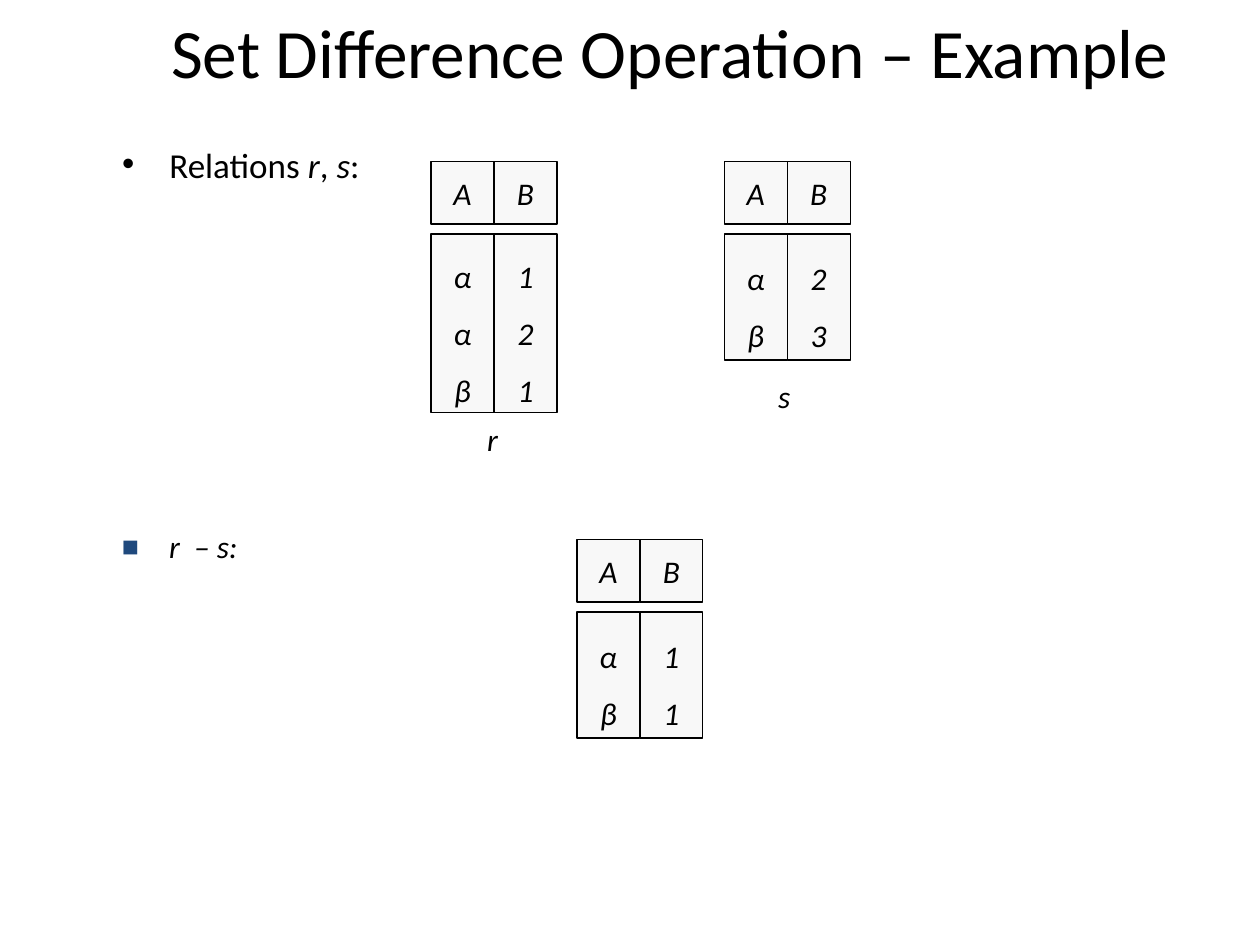
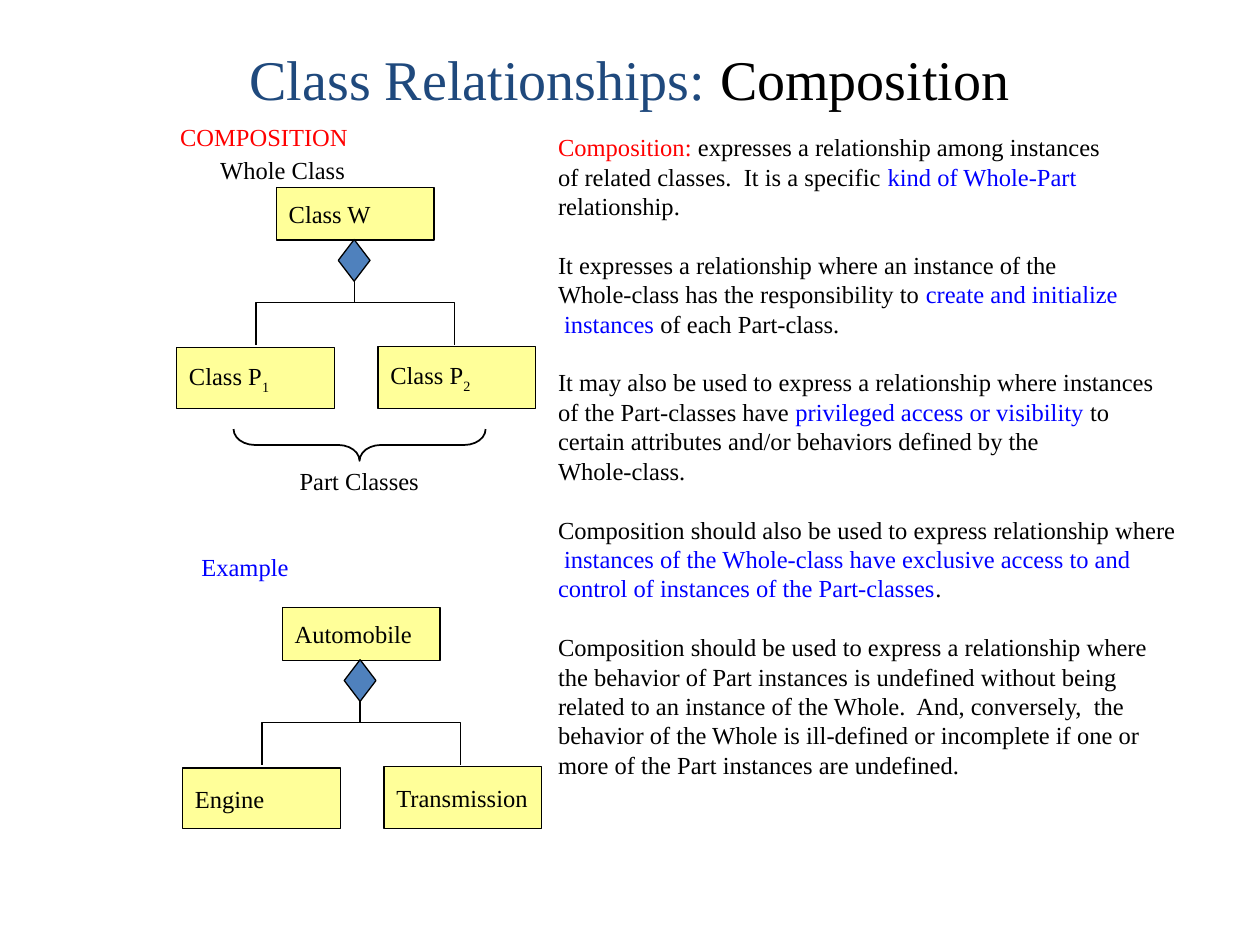
"""Build two slides: set difference of relations, and class composition."""
from dataclasses import dataclass

from lxml.etree import SubElement
from pptx import Presentation
from pptx.dml.color import RGBColor
from pptx.enum.shapes import MSO_CONNECTOR, MSO_SHAPE
from pptx.enum.text import MSO_ANCHOR, MSO_AUTO_SIZE, PP_ALIGN
from pptx.oxml.ns import qn
from pptx.util import Cm, Pt


@dataclass(frozen=True)
class Theme:
    sans: str = "Calibri"
    serif: str = "Times New Roman"
    black: str = "000000"
    navy: str = "1F497D"
    red: str = "FF0000"
    blue: str = "0000FF"
    steel: str = "4F81BD"
    yellow: str = "FFFF99"
    pale: str = "F8F8F8"
    head: float = 39.6
    title: float = 32
    lead: float = 20
    cell: float = 18
    note: float = 14
    thin: float = 0.75
    brace: float = 1


T = Theme()
RED, BLUE = {"color": T.red}, {"color": T.blue}
SLANT, SUB = {"italic": True}, {"base": -25000}

HEAD = "Set Difference Operation – Example"
LEAD = [("Relations ", {}), ("r", SLANT), (", ", {}), ("s", SLANT), (":", {})]
RESULT = "r  – s:"
TABLES = [
    (8.69, 3.25, {"A": "ααβ", "B": "121"}),
    (14.6, 3.25, {"A": "αβ", "B": "23"}),
    (11.63, 10.87, {"A": "αβ", "B": "11"}),
]
NAMES = [("r", (9.58, 8.33, 0.7, 1.02)), ("s", (15.39, 7.47, 0.84, 1.02))]

TITLE = [("Class Relationships: ", {"color": T.navy}), ("Composition", {})]
TREES = [
    (3.56, 3.78, "Class W",
     [("Class P", {}), ("1", SUB)], [("Class P", {}), ("2", SUB)]),
    (3.68, 12.25, "Automobile", "Engine", "Transmission"),
]
LABELS = [
    ("COMPOSITION", T.red, (3.38, 2.34, 4.14, 0.84)),
    ("Whole Class", T.black, (4.19, 3, 3.12, 0.84)),
    ("Part Classes", T.black, (5.79, 9.27, 3.1, 0.84)),
    ("Example", T.blue, (3.81, 11, 2.39, 0.84)),
]
NOTES = [
    [("Composition: ", RED),
     ("expresses a relationship among instances\n"
      "of related classes.  It is a specific ", {}),
     ("kind of Whole-Part", BLUE), ("\nrelationship.", {})],
    [("It expresses a relationship where an instance of the\n"
      "Whole-class has the responsibility to ", {}),
     ("create and initialize\n instances", BLUE),
     (" of each Part-class.", {})],
    [("It may also be used to express a relationship where instances\n"
      "of the Part-classes have ", {}),
     ("privileged access or visibility", BLUE),
     (" to\ncertain attributes and/or behaviors defined by the\n"
      "Whole-class.", {})],
    [("Composition should also be used to express relationship where\n", {}),
     (" instances of the Whole-class have exclusive access to and\n"
      "control of instances of the Part-classes", BLUE), (".", {})],
    [("Composition should be used to express a relationship where\n"
      "the behavior of Part instances is undefined without being\n"
      "related to an instance of the Whole.  And, conversely,  the\n"
      "behavior of the Whole is ill-defined or incomplete if one or\n"
      "more of the Part instances are undefined.", {})],
]


def rgb(code):
    return RGBColor.from_string(code)


def add_run(para, text, font, size, color, italic=False, base=None):
    for i, part in enumerate(text.split("\n")):
        if i:
            para.add_line_break()
        if not part:
            continue
        run = para.add_run()
        run.text = part
        run.font.name, run.font.size = font, Pt(size)
        run.font.color.rgb, run.font.italic = rgb(color), italic
        if base:
            run._r.get_or_add_rPr().set("baseline", str(base))


def add_mark(para, char, color, scale):
    props = para._p.get_or_add_pPr()
    props.set("marL", str(Cm(0.95)))
    props.set("indent", str(-Cm(0.95)))
    tint = SubElement(props, qn("a:buClr"))
    SubElement(tint, qn("a:srgbClr")).set("val", color)
    SubElement(props, qn("a:buSzPct")).set("val", str(scale * 1000))
    SubElement(props, qn("a:buFont")).set("typeface", "Arial")
    SubElement(props, qn("a:buChar")).set("char", char)


def write(shape, paras, align=PP_ALIGN.LEFT, anchor=MSO_ANCHOR.TOP,
          wrap=True, space=None, gap=0, mark=None, **style):
    frame = shape.text_frame
    frame.auto_size = MSO_AUTO_SIZE.NONE
    frame.word_wrap, frame.vertical_anchor = wrap, anchor
    base = {"font": T.sans, "size": T.cell, "color": T.black} | style
    for i, runs in enumerate(paras):
        para = frame.add_paragraph() if i else frame.paragraphs[0]
        if mark:
            add_mark(para, *mark)
        para.alignment = align
        para.space_before = Pt(gap if i else 0)
        if space:
            para.line_spacing = space
        for text, extra in [(runs, {})] if isinstance(runs, str) else runs:
            add_run(para, text, **(base | extra))


def place(shape, box):
    shape.left, shape.top, shape.width, shape.height = map(Cm, box)
    return shape


def add_text(slide, box, paras, **fmt):
    write(slide.shapes.add_textbox(*map(Cm, box)), paras, **fmt)


def style(shape, fill=None, width=T.thin):
    shape.shadow.inherit = False
    if fill:
        shape.fill.solid()
        shape.fill.fore_color.rgb = rgb(fill)
    else:
        shape.fill.background()
    shape.line.color.rgb, shape.line.width = rgb(T.black), Pt(width)
    return shape


def add_box(slide, kind, box, fill=None, width=T.thin):
    return style(slide.shapes.add_shape(kind, *map(Cm, box)), fill, width)


def add_grid(slide, x, y, cols):
    side, drop = 1.27, 1.47
    for i, (name, vals) in enumerate(cols.items()):
        tall = 3.6 if len(vals) == 3 else 2 * side
        for top, high, text, space in ((y, side, name, None),
                                       (y + drop, tall, vals, 1.5)):
            cell = add_box(slide, MSO_SHAPE.RECTANGLE,
                           (x + i * side, top, side, high), T.pale)
            write(cell, list(text), align=PP_ALIGN.CENTER, wrap=False,
                  anchor=MSO_ANCHOR.MIDDLE, space=space, italic=True)


def add_tree(slide, x, y, whole, left, right):
    wide, mid = 3.18, 3.58
    boxes = [(whole, 2.01, 0, 1.06), (left, 0, 3.23, 1.23),
             (right, 4.06, 3.2, 1.25)]
    for text, dx, dy, high in boxes:
        box = add_box(slide, MSO_SHAPE.RECTANGLE,
                      (x + dx, y + dy, wide, high), T.yellow)
        write(box, [text], anchor=MSO_ANCHOR.MIDDLE, wrap=False,
              font=T.serif, size=T.note)
    near, far, top, foot = x + 1.6, x + 5.61, y + 2.32, y + 3.17
    pen = slide.shapes.build_freeform(Cm(near), Cm(foot))
    pen.add_line_segments([(Cm(a), Cm(b)) for a, b in
                           ((near, top), (far, top), (far, foot))], close=False)
    style(pen.convert_to_shape())
    stem = slide.shapes.add_connector(
        MSO_CONNECTOR.STRAIGHT, *map(Cm, (x + mid, y + 1.86, x + mid, top)))
    stem.line.color.rgb, stem.line.width = rgb(T.black), Pt(T.thin)
    SubElement(stem._element.spPr, qn("a:effectLst"))
    add_box(slide, MSO_SHAPE.DIAMOND,
            (x + mid - 0.32, y + 1.05, 0.64, 0.84), T.steel)


def add_title(slide, box, runs, **fmt):
    write(place(slide.shapes.title, box), [runs], align=PP_ALIGN.CENTER,
          anchor=MSO_ANCHOR.MIDDLE, **fmt)


def build_sets(deck):
    slide = deck.slides.add_slide(deck.slide_layouts[1])
    add_title(slide, (2.29, 0.18, 22.43, 1.7), HEAD, size=T.head)
    write(place(slide.placeholders[1], (2.21, 3, 19.05, 0.94)), [LEAD],
          size=T.lead, space=0.7, mark=("•", T.black, 100))
    add_text(slide, (2.21, 10.59, 19.53, 0.91), [RESULT], italic=True,
             space=0.9, mark=("■", T.navy, 90))
    for table in TABLES:
        add_grid(slide, *table)
    for name, box in NAMES:
        add_text(slide, box, [name], align=PP_ALIGN.CENTER, wrap=False,
                 anchor=MSO_ANCHOR.MIDDLE, italic=True)


def build_class(deck):
    slide = deck.slides.add_slide(deck.slide_layouts[5])
    add_title(slide, (1.9, 0.84, 21.59, 1.47), TITLE,
              font=T.serif, size=T.title)
    for tree in TREES:
        add_tree(slide, *tree)
    brace = add_box(slide, MSO_SHAPE.LEFT_BRACE, (6.93, 6.43, 0.64, 5.08),
                    width=T.brace)
    brace.rotation = 270
    brace.adjustments[0], brace.adjustments[1] = 0.67, 0.5
    for text, color, box in LABELS:
        add_text(slide, box, [text], font=T.serif, size=T.note, color=color)
    add_text(slide, (11, 2.54, 13.67, 13.26), NOTES, font=T.serif,
             size=T.note, gap=16.8)


def main():
    deck = Presentation()
    deck.slide_width, deck.slide_height = Cm(25.4), Cm(19.05)
    build_sets(deck)
    build_class(deck)
    deck.save("out.pptx")


if __name__ == "__main__":
    main()
